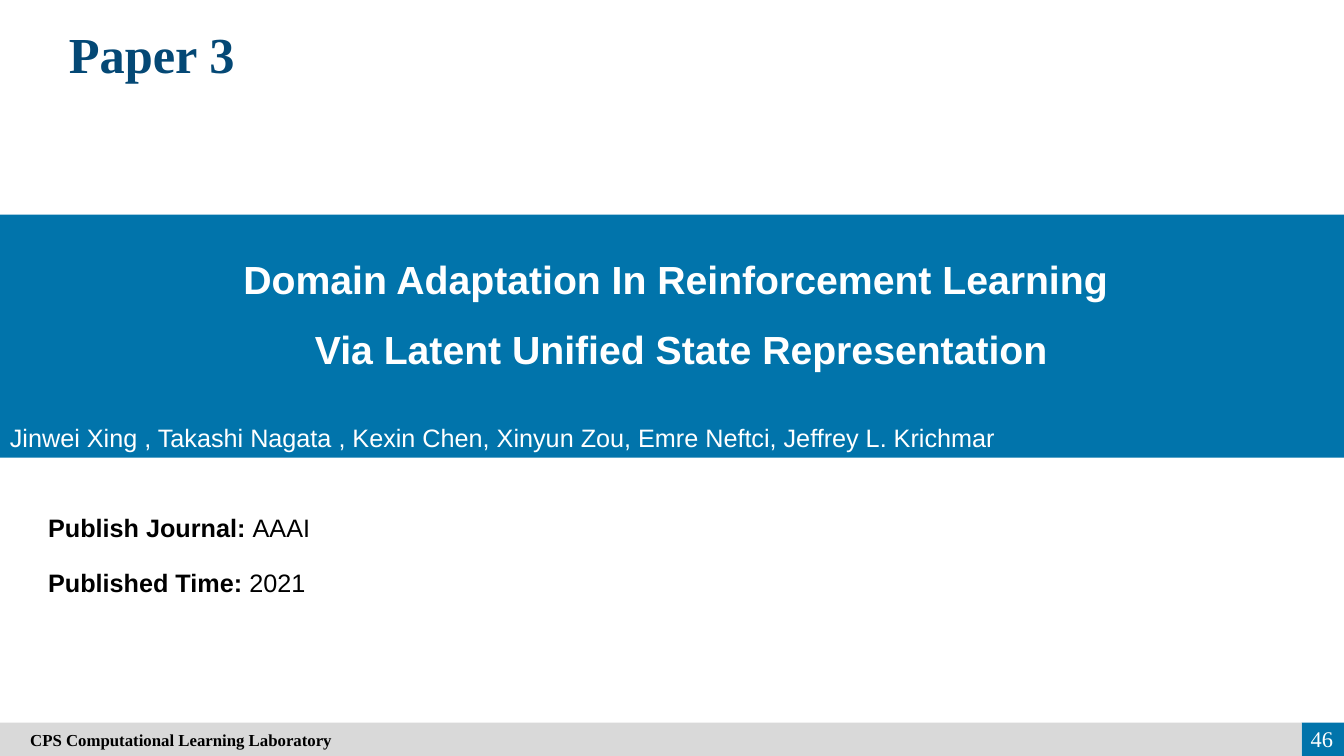
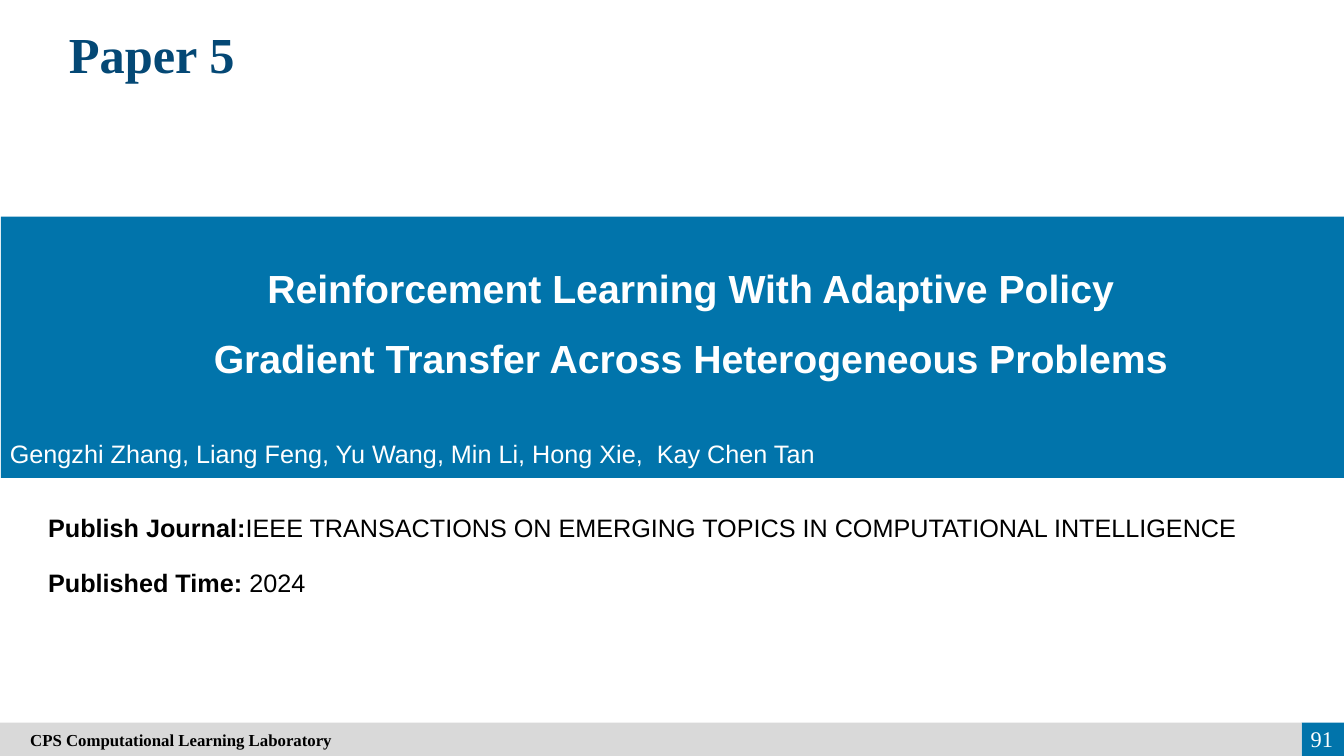
from dataclasses import dataclass

from pptx import Presentation
from pptx.dml.color import RGBColor
from pptx.enum.shapes import MSO_SHAPE
from pptx.enum.text import MSO_ANCHOR, MSO_AUTO_SIZE, PP_ALIGN
from pptx.util import Inches, Pt

RECTANGLE = MSO_SHAPE.RECTANGLE
TOP, MIDDLE = MSO_ANCHOR.TOP, MSO_ANCHOR.MIDDLE
LEFT, CENTER, RIGHT = PP_ALIGN.LEFT, PP_ALIGN.CENTER, PP_ALIGN.RIGHT
NO_AUTOFIT = MSO_AUTO_SIZE.NONE

BLUE = RGBColor(0x01, 0x74, 0xAB)
NAVY = RGBColor(0x04, 0x48, 0x75)
GRAY = RGBColor(0xD9, 0xD9, 0xD9)
WHITE = RGBColor(0xFF, 0xFF, 0xFF)
BLACK = RGBColor(0x00, 0x00, 0x00)

SANS = "Arial"
SERIF = "Times New Roman"

SLIDE_WIDTH, SLIDE_HEIGHT = 13.33, 7.5
FOOTER_TOP = 7.17
FOOTER_HEIGHT = SLIDE_HEIGHT - FOOTER_TOP
NUMBER_LEFT = 12.91
MARGIN = 0.38
TITLE_ONLY = 5


@dataclass
class Paper:
    title: str
    page: str
    band: tuple
    heading_box: tuple
    heading: tuple
    authors_top: float
    authors: str
    journal: tuple
    year: str


PAPERS = (
    Paper(
        "Paper 3", "46",
        (0, 2.13, SLIDE_WIDTH, 2.41),
        (0.08, 2.24, 13.35, 1.51),
        ("Domain Adaptation In Reinforcement Learning ",
         "Via Latent Unified State Representation"),
        4.14,
        "Jinwei Xing , Takashi Nagata , Kexin Chen, Xinyun Zou, "
        "Emre Neftci, Jeffrey L. Krichmar",
        ("Publish Journal: ", "AAAI"),
        "2021",
    ),
    Paper(
        "Paper 5", "91",
        (0.01, 2.15, SLIDE_WIDTH - 0.01, 2.59),
        (0.86, 2.33, 11.98, 1.51),
        ("Reinforcement Learning With Adaptive Policy",
         "Gradient Transfer Across Heterogeneous Problems"),
        4.3,
        "Gengzhi Zhang, Liang Feng, Yu Wang, Min Li, Hong Xie,  Kay Chen Tan",
        ("Publish Journal:",
         "IEEE TRANSACTIONS ON EMERGING TOPICS IN COMPUTATIONAL INTELLIGENCE"),
        "2024",
    ),
)


def add_run(paragraph, text, size, font_name, color, bold=False):
    run = paragraph.add_run()
    run.text = text
    run.font.size = Pt(size)
    run.font.name = font_name
    run.font.color.rgb = color
    run.font.bold = bold


def set_frame(shape, anchor):
    frame = shape.text_frame
    frame.word_wrap = True
    frame.auto_size = NO_AUTOFIT
    frame.vertical_anchor = anchor
    return frame


def add_text(slide, box, lines, size, font_name, color,
             align=LEFT, anchor=TOP, spacing=1.0):
    shape = slide.shapes.add_textbox(*map(Inches, box))
    frame = set_frame(shape, anchor)
    for index, runs in enumerate(lines):
        paragraph = frame.add_paragraph() if index else frame.paragraphs[0]
        paragraph.alignment = align
        paragraph.line_spacing = spacing
        for text, bold in runs:
            add_run(paragraph, text, size, font_name, color, bold)


def add_band(slide, box, color):
    band = slide.shapes.add_shape(RECTANGLE, *map(Inches, box))
    band.shadow.inherit = False
    band.fill.solid()
    band.fill.fore_color.rgb = color
    band.line.fill.background()
    return band


def set_title(slide, text):
    title = slide.shapes.title
    title.left, title.top = Inches(MARGIN), Inches(0.18)
    title.width, title.height = Inches(2.25), Inches(0.71)
    paragraph = set_frame(title, TOP).paragraphs[0]
    paragraph.alignment = CENTER
    add_run(paragraph, text, 36, SERIF, NAVY, True)


def add_footer(slide, page):
    add_band(slide, (NUMBER_LEFT, FOOTER_TOP, SLIDE_WIDTH - NUMBER_LEFT,
                     FOOTER_HEIGHT), BLUE)
    bar = add_band(slide, (0, FOOTER_TOP, NUMBER_LEFT, FOOTER_HEIGHT), GRAY)
    frame = set_frame(bar, MIDDLE)
    frame.margin_left = Inches(0.3)
    paragraph = frame.paragraphs[0]
    paragraph.alignment = LEFT
    add_run(paragraph, "CPS Computational Learning Laboratory",
            12, SERIF, BLACK, True)
    add_text(slide, (12.69, 7.13, 0.63, 0.4), [[(page, False)]],
             16, SERIF, WHITE, RIGHT, MIDDLE)


def add_detail(slide, top, label, value):
    add_text(slide, (MARGIN, top, 12.74, 0.4),
             [[(label, True), (value, False)]], 18, SANS, BLACK)


def add_paper_slide(presentation, paper):
    slide = presentation.slides.add_slide(
        presentation.slide_layouts[TITLE_ONLY])
    set_title(slide, paper.title)
    add_band(slide, paper.band, BLUE)
    add_text(slide, paper.heading_box,
             [[(line, True)] for line in paper.heading],
             28, SANS, WHITE, CENTER, MIDDLE, 1.5)
    add_text(slide, (0, paper.authors_top, 13.04, 0.4),
             [[(paper.authors, False)]], 18, SANS, WHITE)
    add_detail(slide, 5.03, *paper.journal)
    add_detail(slide, 5.58, "Published Time:", f" {paper.year}")
    add_footer(slide, paper.page)


def main():
    presentation = Presentation()
    presentation.slide_width = Inches(SLIDE_WIDTH)
    presentation.slide_height = Inches(SLIDE_HEIGHT)
    for paper in PAPERS:
        add_paper_slide(presentation, paper)
    presentation.save("out.pptx")


if __name__ == "__main__":
    main()
